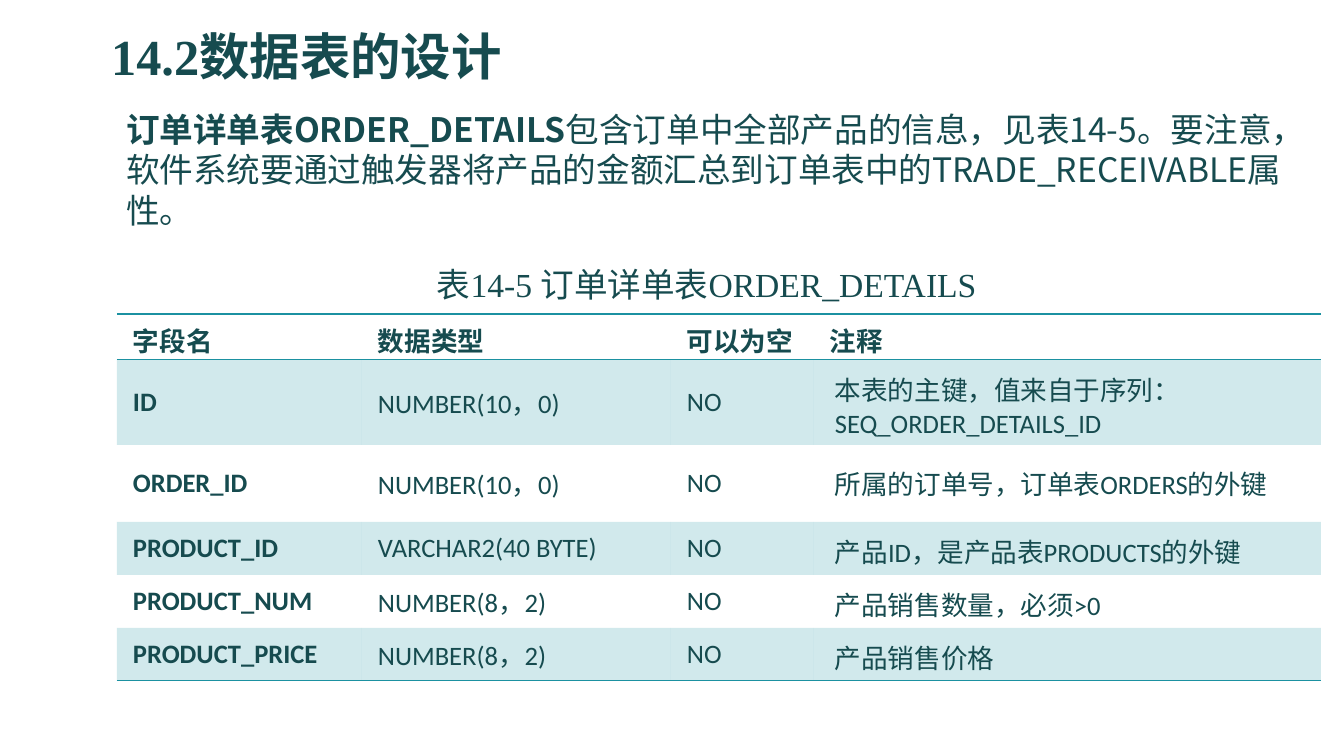
from lxml.etree import SubElement
from pptx import Presentation
from pptx.dml.color import RGBColor
from pptx.enum.text import MSO_ANCHOR as Anchor, MSO_AUTO_SIZE as Fit, PP_ALIGN as Align
from pptx.oxml.ns import qn
from pptx.util import Pt

INK = RGBColor(0x16, 0x4B, 0x4F)
TEAL = RGBColor(0x1B, 0x91, 0xA1)
SERIF, SANS, CJK = "Times New Roman", "Calibri", "Noto Sans CJK SC"

COLS = [245, 309, 143, 471, 24]
ROWS = [45, 85, 77, 53, 53, 53]
HEAD = ["字段名", "数据类型", "可以为空", "注释"]
FIELDS = [
    ["ID", "NUMBER(10，0)", "NO", "本表的主键，值来自于序列：SEQ_ORDER_DETAILS_ID"],
    ["ORDER_ID", "NUMBER(10，0)", "NO", "所属的订单号，订单表ORDERS的外键"],
    ["PRODUCT_ID", "VARCHAR2(40 BYTE)", "NO", "产品ID，是产品表PRODUCTS的外键"],
    ["PRODUCT_NUM", "NUMBER(8，2)", "NO", "产品销售数量，必须>0"],
    ["PRODUCT_PRICE", "NUMBER(8，2)", "NO", "产品销售价格"],
]


def px(n):
    return round(n * 914400 / 100.8)


def place(shape, box):
    shape.left, shape.top, shape.width, shape.height = map(px, box)


def write(frame, text, size=24, font=SANS, bold=False, space=1.0):
    """Add a run to the first paragraph of a text frame."""
    para = frame.paragraphs[0]
    para.alignment = Align.LEFT
    para.line_spacing = space
    para.space_before = para.space_after = Pt(0)
    run = para.add_run()
    run.text = text
    run.font.size, run.font.name, run.font.bold = Pt(size), font, bold
    run.font.color.rgb = INK
    SubElement(run.font._element, qn("a:ea"), typeface=CJK)
    return para


def add_title(slide, box):
    title = slide.shapes.title
    place(title, box)
    frame = title.text_frame
    frame.auto_size, frame.vertical_anchor = Fit.NONE, Anchor.BOTTOM
    write(frame, "14.2数据表的设计", size=36, font=SERIF, bold=True, space=0.9)


def add_body(slide, box):
    body = slide.placeholders[1]
    place(body, box)
    frame = body.text_frame
    frame.auto_size, frame.vertical_anchor = Fit.NONE, Anchor.TOP
    write(frame, "订单详单表ORDER_DETAILS", font=CJK, bold=True)
    para = write(frame, "包含订单中全部产品的信息，见表14-5。要注意，软件系统要通过触发器"
                 "将产品的金额汇总到订单表中的TRADE_RECEIVABLE属性。", font=CJK)
    props = para._p.get_or_add_pPr()
    props.set("marL", "0")
    props.set("indent", "0")
    SubElement(props, qn("a:buNone"))


def add_caption(slide, box):
    frame = slide.shapes.add_textbox(*map(px, box)).text_frame
    frame.word_wrap, frame.vertical_anchor = True, Anchor.MIDDLE
    para = write(frame, "表14-5 订单详单表ORDER_DETAILS", font=SERIF)
    para._p.get_or_add_pPr().set("indent", str(px(25)))


def rule(cell, top, bottom):
    """Draw the wanted horizontal edges and clear the others."""
    props = cell._tc.get_or_add_tcPr()
    for side, shown in (("L", False), ("R", False), ("T", top), ("B", bottom)):
        line = SubElement(props, qn(f"a:ln{side}"), w=str(Pt(1)))
        if shown:
            fill = SubElement(line, qn("a:solidFill"))
            SubElement(fill, qn("a:srgbClr"), val=str(TEAL))
        else:
            SubElement(line, qn("a:noFill"))


def tint(cell, banded):
    if not banded:
        cell.fill.background()
        return
    cell.fill.solid()
    cell.fill.fore_color.rgb = TEAL
    color = cell._tc.tcPr.find(f"{qn('a:solidFill')}/{qn('a:srgbClr')}")
    SubElement(color, qn("a:alpha"), val="20000")


def add_fields(slide, left, top):
    grid = slide.shapes.add_table(len(ROWS), len(COLS), px(left), px(top),
                                  px(sum(COLS)), px(sum(ROWS))).table
    grid.first_row = grid.horz_banding = False
    for col, width in zip(grid.columns, COLS):
        col.width = px(width)
    for row, height in zip(grid.rows, ROWS):
        row.height = px(height)
    for r, texts in enumerate([HEAD] + FIELDS):
        for c in range(len(COLS)):
            cell = grid.cell(r, c)
            rule(cell, r < 2, r in (0, len(FIELDS)))
            tint(cell, r % 2)
            note = r > 0 and c == 3
            cell.margin_left = cell.margin_right = px(21 if note else 16)
            cell.margin_top = cell.margin_bottom = px(10 if note else 7)
            cell.vertical_anchor = Anchor.MIDDLE
            if c < len(texts):
                write(cell.text_frame, texts[c], size=19, bold=r == 0 or c == 0)
        if r:
            grid.cell(r, 3).merge(grid.cell(r, 4))


def main():
    deck = Presentation()
    deck.slide_width, deck.slide_height = px(1344), px(756)
    slide = deck.slides.add_slide(deck.slide_layouts[1])
    add_title(slide, (101, 1, 1058, 91))
    add_body(slide, (116, 104, 1199, 155))
    add_caption(slide, (402, 259, 643, 50))
    add_fields(slide, 117, 314)
    deck.save("out.pptx")


if __name__ == "__main__":
    main()
